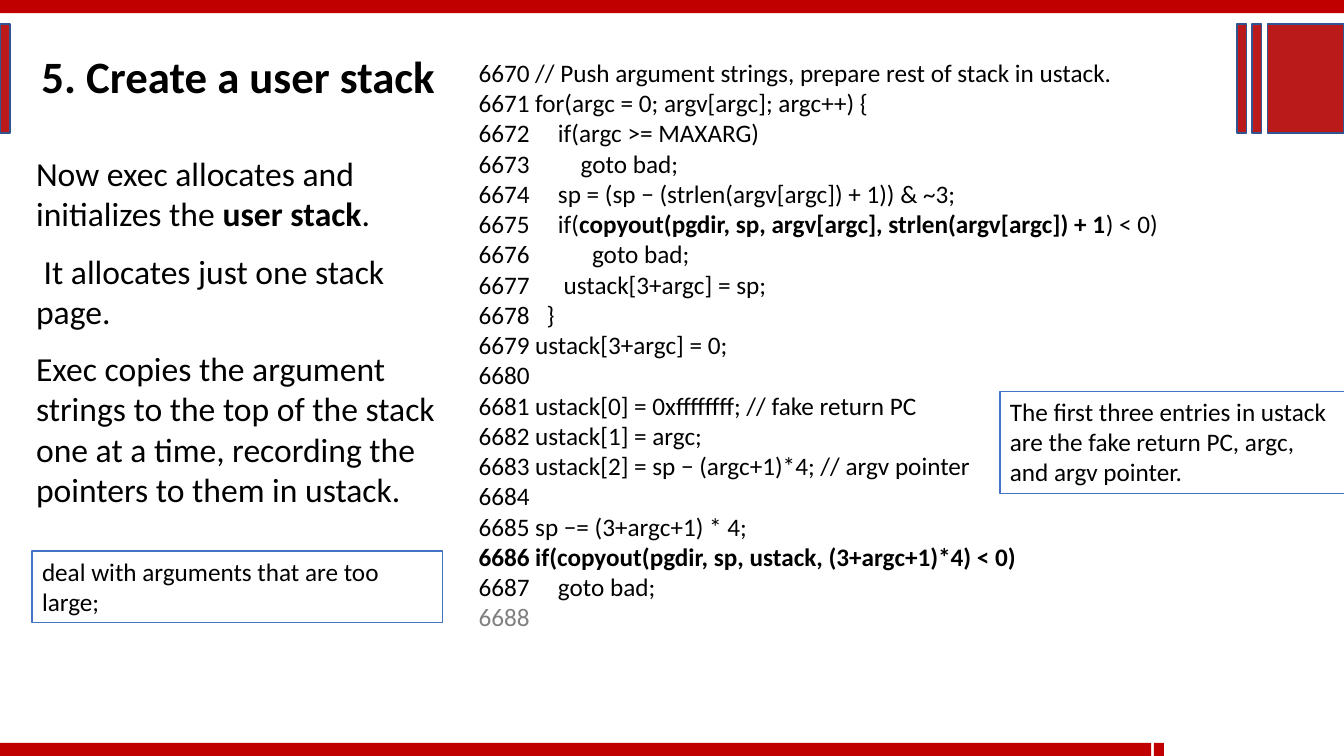
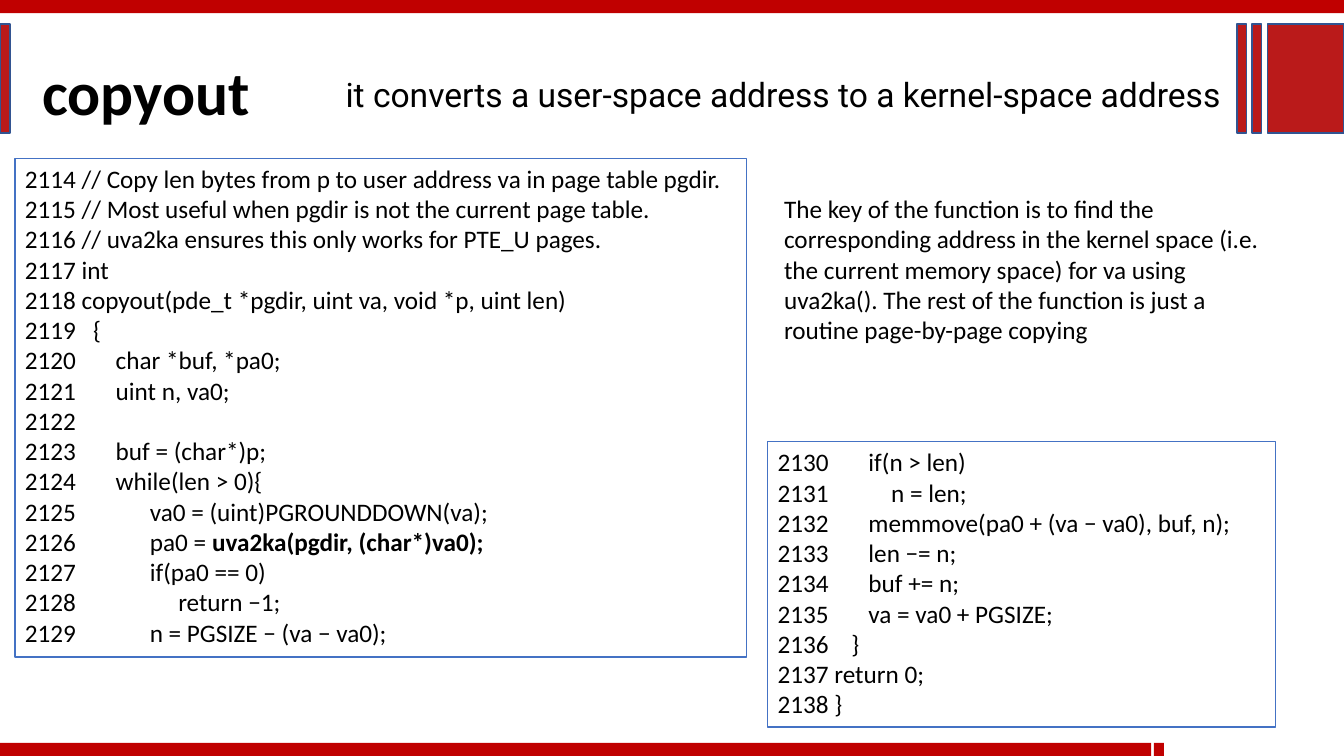
from dataclasses import dataclass
from typing import Any, NamedTuple

from pptx import Presentation
from pptx import util as u
from pptx.dml import color as dml
from pptx.enum import shapes, text

COLORS = {
    "text": "000000",
    "faded": "808080",
    "paper": "FFFFFF",
    "frame": "4472C4",
    "band": "C00000",
    "block": "BA1A1A",
    "block_edge": "325491",
}
BOLD = "**"  # switches bold on and off inside a line
WIDTH, HEIGHT = 33.87, 19.05
TITLE_ONLY = 5


class Area(NamedTuple):
    """Left, top, width and height in centimetres."""
    left: float
    top: float
    width: float
    height: float

    def lengths(self) -> list[u.Length]:
        return [u.Cm(value) for value in self]


@dataclass
class Panel:
    area: Area
    content: str
    size: int = 18
    font: str = "Calibri"
    framed: bool = False
    gap: int = 0
    last_color: str = "text"


@dataclass
class Page:
    title: str
    title_area: Area
    title_size: int
    panels: list[Panel]


# Shared decoration: red bands, and edged blocks beside the title
BAND, BLOCK_TOP, BLOCK_HEIGHT, STRIP = 0.33, 0.61, 2.74, 0.25
BANDS = [
    Area(0, 0, WIDTH, BAND),
    Area(0, HEIGHT - BAND, 29.01, BAND),
    Area(29.08, HEIGHT - BAND, STRIP, BAND),
]
BLOCKS = [
    Area(left, BLOCK_TOP, width, BLOCK_HEIGHT)
    for left, width in [(0, STRIP), (31.95, 1.92), (31.55, STRIP), (31.17, STRIP)]
]

# Wording
STACK_STORY = """Now exec allocates and initializes the **user stack**.
 It allocates just one stack page.
Exec copies the argument strings to the top of the stack one at a time, \
recording the pointers to them in ustack."""

STACK_CODE = """6670 // Push argument strings, prepare rest of stack in ustack.
6671 for(argc = 0; argv[argc]; argc++) {
6672     if(argc >= MAXARG)
6673         goto bad;
6674     sp = (sp − (strlen(argv[argc]) + 1)) & ~3;
6675     if(**copyout(pgdir, sp, argv[argc], strlen(argv[argc]) + 1**) < 0)
6676           goto bad;
6677      ustack[3+argc] = sp;
6678   }
6679 ustack[3+argc] = 0;
6680
6681 ustack[0] = 0xffffffff; // fake return PC
6682 ustack[1] = argc;
6683 ustack[2] = sp − (argc+1)*4; // argv pointer
6684
6685 sp −= (3+argc+1) * 4;
**6686 if(copyout(pgdir, sp, ustack, (3+argc+1)*4) < 0)**
6687     goto bad;
6688"""

COPYOUT_START = """2114 // Copy len bytes from p to user address va in page table pgdir.
2115 // Most useful when pgdir is not the current page table.
2116 // uva2ka ensures this only works for PTE_U pages.
2117 int
2118 copyout(pde_t *pgdir, uint va, void *p, uint len)
2119   {
2120       char *buf, *pa0;
2121       uint n, va0;
2122
2123       buf = (char*)p;
2124       while(len > 0){
2125             va0 = (uint)PGROUNDDOWN(va);
2126             pa0 = **uva2ka(pgdir, (char*)va0);**
2127             if(pa0 == 0)
2128                  return −1;
2129             n = PGSIZE − (va − va0);"""

COPYOUT_END = """2130       if(n > len)
2131           n = len;
2132       memmove(pa0 + (va − va0), buf, n);
2133       len −= n;
2134       buf += n;
2135       va = va0 + PGSIZE;
2136    }
2137 return 0;
2138 }"""

COPYOUT_STORY = (
    "The key of the function is to ﬁnd the corresponding address in the kernel "
    "space (i.e. the current memory space) for va using uva2ka(). The rest of "
    "the function is just a routine page-by-page copying"
)

PAGES = [
    Page("5. Create a user stack", Area(0.79, 1.09, 16.97, 1.63), 32, [
        Panel(Area(0.66, 3.73, 11.25, 9.32), STACK_STORY, size=24, gap=6),
        Panel(Area(11.81, 1.32, 20.04, 14.88), STACK_CODE, last_color="faded"),
        Panel(Area(25.2, 9.86, 8.71, 2.57),
              "The first three entries in ustack are the fake return PC, argc, "
              "and argv pointer.", framed=True),
        Panel(Area(0.81, 13.89, 10.34, 1.8),
              "deal with arguments that are too large;", framed=True),
    ]),
    Page("copyout", Area(0.81, 1.22, 27.31, 2.13), 44, [
        Panel(Area(19.35, 11.13, 12.8, 7.19), COPYOUT_END, framed=True),
        Panel(Area(0.38, 3.99, 18.44, 12.57), COPYOUT_START, framed=True),
        Panel(Area(19.51, 4.75, 13.13, 4.11), COPYOUT_STORY),
        Panel(Area(8.46, 1.73, 22.56, 1.27),
              "it converts a user-space address to a kernel-space address",
              size=24, font="Roboto"),
    ]),
]


def apply(target: Any, values: dict[str, Any]) -> None:
    for name, value in values.items():
        setattr(target, name, value)


def rgb(name: str) -> dml.RGBColor:
    return dml.RGBColor.from_string(COLORS[name])


def add_rectangle(owner: Any, area: Area, fill: str, edge: str | None = None) -> Any:
    rectangle = owner.add_shape(shapes.MSO_SHAPE.RECTANGLE, *area.lengths())
    rectangle.shadow.inherit = False
    rectangle.fill.solid()
    rectangle.fill.fore_color.rgb = rgb(fill)
    if edge:
        rectangle.line.color.rgb = rgb(edge)
        rectangle.line.width = u.Pt(1)
    else:
        rectangle.line.fill.background()
    return rectangle


def add_decoration(slide: Any) -> None:
    decoration = slide.shapes.add_group_shape().shapes
    for band in BANDS:
        add_rectangle(decoration, band, "band")
    for block in BLOCKS:
        add_rectangle(decoration, block, "block", "block_edge")


def write(frame: Any, panel: Panel) -> None:
    apply(frame, {
        "word_wrap": True,
        "auto_size": text.MSO_AUTO_SIZE.SHAPE_TO_FIT_TEXT,
        "vertical_anchor": text.MSO_ANCHOR.TOP,
    })
    lines = panel.content.split("\n")
    for index, line in enumerate(lines):
        paragraph = frame.add_paragraph() if index else frame.paragraphs[0]
        apply(paragraph, {
            "alignment": text.PP_ALIGN.LEFT,
            "line_spacing": 1.0,
            "space_before": u.Pt(panel.gap if index else 0),
            "space_after": u.Pt(panel.gap),
        })
        color = panel.last_color if index == len(lines) - 1 else "text"
        for part, words in enumerate(line.split(BOLD)):
            if words:
                run = paragraph.add_run()
                run.text = words
                apply(run.font, {"name": panel.font, "size": u.Pt(panel.size),
                                 "bold": part % 2 == 1})
                run.font.color.rgb = rgb(color)


def add_panel(slide: Any, panel: Panel) -> None:
    if panel.framed:
        holder = add_rectangle(slide.shapes, panel.area, "paper", "frame")
    else:
        holder = slide.shapes.add_textbox(*panel.area.lengths())
    write(holder.text_frame, panel)


def set_title(slide: Any, page: Page) -> None:
    title = slide.shapes.title
    apply(title, dict(zip(("left", "top", "width", "height"),
                          page.title_area.lengths())))
    write(title.text_frame,
          Panel(page.title_area, BOLD + page.title + BOLD, size=page.title_size))


def main() -> None:
    deck = Presentation()
    apply(deck, {"slide_width": u.Cm(WIDTH), "slide_height": u.Cm(HEIGHT)})
    for page in PAGES:
        slide = deck.slides.add_slide(deck.slide_layouts[TITLE_ONLY])
        add_decoration(slide)
        set_title(slide, page)
        for panel in page.panels:
            add_panel(slide, panel)
    deck.save("out.pptx")


if __name__ == "__main__":
    main()
